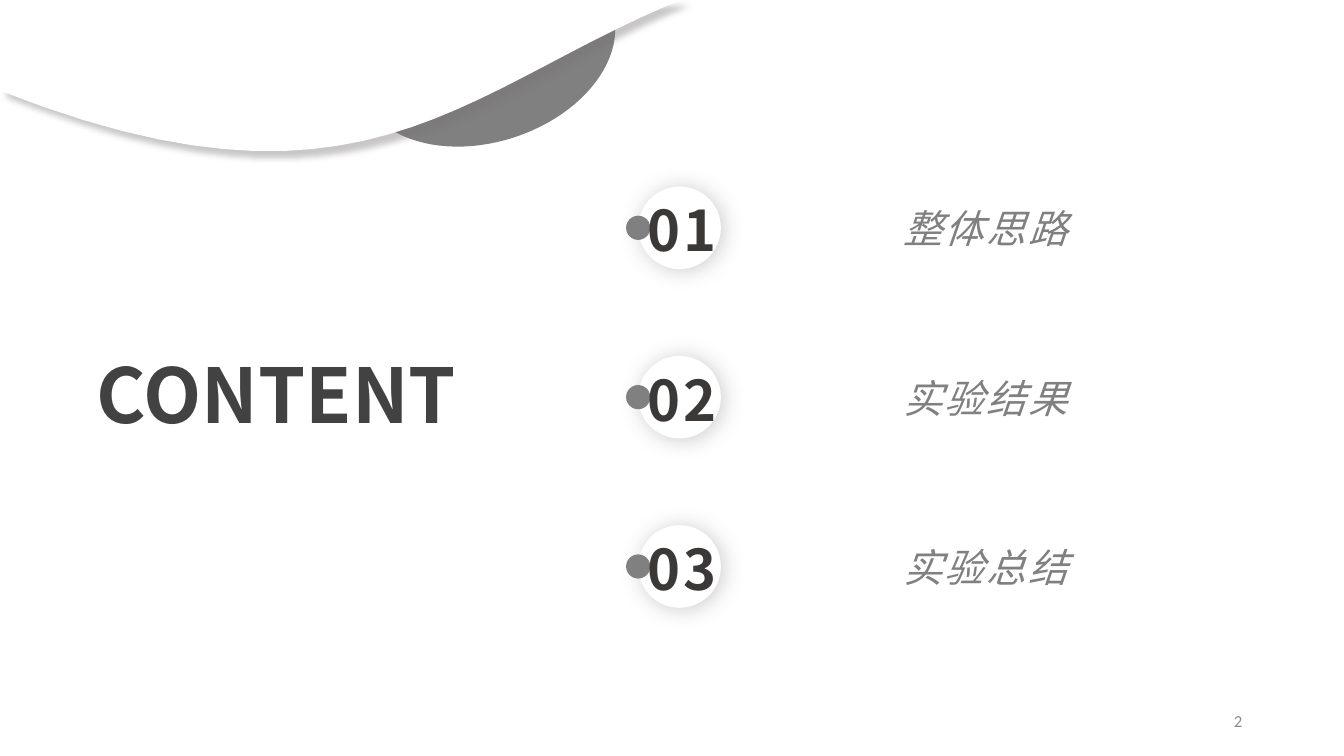
from lxml.etree import SubElement
from pptx import Presentation
from pptx.dml.color import RGBColor
from pptx.enum.shapes import MSO_SHAPE
from pptx.enum.text import MSO_ANCHOR, MSO_AUTO_SIZE, PP_ALIGN
from pptx.oxml.ns import qn
from pptx.util import Inches, Pt

WHITE = RGBColor(0xFF, 0xFF, 0xFF)
GRAY = RGBColor(0x80, 0x80, 0x80)
PALE = RGBColor(0x8C, 0x8C, 0x8C)
DARK = RGBColor(0x42, 0x42, 0x42)
INK = RGBColor(0x3B, 0x38, 0x38)
SHADE = RGBColor(0x76, 0x71, 0x71)
SANS = "Noto Sans CJK SC"
STEPS = 24


def place(shape, box):
    shape.left, shape.top, shape.width, shape.height = map(Inches, box)


def put(shape, text, size, color, font=SANS, bold=False, italic=False, gap=0,
        align=PP_ALIGN.CENTER, anchor=MSO_ANCHOR.MIDDLE, wrap=True, grow=True, inset=0):
    frame = shape.text_frame
    frame.word_wrap = wrap
    frame.auto_size = MSO_AUTO_SIZE.SHAPE_TO_FIT_TEXT if grow else MSO_AUTO_SIZE.NONE
    frame.vertical_anchor = anchor
    frame.margin_left = frame.margin_right = Inches(inset)
    frame.margin_top = frame.margin_bottom = Inches(inset / 2)
    para = frame.paragraphs[0]
    para.alignment = align
    run = para.add_run()
    run.text = text
    face = run.font
    face.name, face.size, face.bold, face.italic = font, Pt(size), bold, italic
    face.color.rgb = color
    props = run._r.get_or_add_rPr()
    SubElement(props, qn("a:ea"), typeface=font)
    if gap:
        props.set("spc", str(gap * 100))


def label(shapes, box, text, **style):
    put(shapes.add_textbox(*map(Inches, box)), text, **style)


def paint(shape, fill, shadow=None):
    shape.shadow.inherit = False
    shape.fill.solid()
    shape.fill.fore_color.rgb = fill
    shape.line.fill.background()
    if shadow:
        color, blur, dist, angle = shadow
        effect = shape._element.spPr.find(qn("a:effectLst"))
        outer = SubElement(effect, qn("a:outerShdw"), blurRad=str(Pt(blur)),
                           dist=str(Pt(dist)), dir=str(angle * 60000),
                           algn="ctr", rotWithShape="0")
        tint = SubElement(outer, qn("a:srgbClr"), val=str(color))
        SubElement(tint, qn("a:alpha"), val="40000")


def bend(start, one, two, end):
    for step in range(1, STEPS + 1):
        t = step / STEPS
        u = 1 - t
        yield tuple(u**3 * a + 3 * u * u * t * b + 3 * u * t * t * c + t**3 * d
                    for a, b, c, d in zip(start, one, two, end))


def outline(slide, box, start, parts, fill, shadow=None):
    left, top = box
    points = [start]
    for part in parts:
        points += [part[0]] if len(part) == 1 else bend(points[-1], *part)
    spots = [(Inches(left + x), Inches(top + y)) for x, y in points]
    form = slide.shapes.build_freeform(*spots[0], scale=1.0)
    form.add_line_segments(spots[1:], close=True)
    paint(form.convert_to_shape(), fill, shadow)


def banner(slide, box):
    outline(slide, box, (3.89, 0), [
        [(6.04, 0)], [(6.07, 0.08)],
        [(6.23, 0.56), (5.8, 1.13), (5.11, 1.36)],
        [(4.42, 1.59), (3.73, 1.39), (3.57, 0.91)],
        [(3.47, 0.61), (3.6, 0.27), (3.88, 0.01)]], GRAY)
    outline(slide, box, (0, 0), [
        [(6.76, 0)], [(6.61, 0.06)],
        [(4.54, 0.95), (3.52, 2.29), (0, 0.9)]], WHITE, (SHADE, 4, 6, 45))


def disc(shapes, left, top, size, fill, shadow=None):
    oval = shapes.add_shape(MSO_SHAPE.OVAL, *map(Inches, (left, top, size, size)))
    paint(oval, fill, shadow)


def badge(slide, box, text):
    left, top = box
    shapes = slide.shapes.add_group_shape().shapes
    disc(shapes, left + 0.14, top, 0.82, WHITE, (GRAY, 16, 2, 30))
    disc(shapes, left + 0.02, top + 0.29, 0.24, GRAY)
    label(shapes, (left, top + 0.09, 1.15, 0.67), text,
          size=40, color=INK, bold=True, gap=2)


def agenda(slide, box, topics, pitch=1.68):
    left, top = box
    for row, topic in enumerate(topics):
        y = top + row * pitch
        badge(slide, (left, y), f"{row + 1:02}")
        label(slide.shapes, (left + 0.44, y + 0.18, 6.29, 0.47), topic,
              size=28, color=GRAY, italic=True, gap=2)


def heading(slide, box, text):
    title = slide.shapes.title
    place(title, box)
    put(title, text, 54, DARK, bold=True, align=PP_ALIGN.LEFT,
        anchor=MSO_ANCHOR.TOP, wrap=False, inset=0.1)


def footer(slide, box, text):
    label(slide.shapes, box, text, size=12, color=PALE, font="Calibri",
          align=PP_ALIGN.RIGHT, grow=False, inset=0.1)


def main():
    deck = Presentation()
    deck.slide_width, deck.slide_height = Inches(13.33), Inches(7.5)
    slide = deck.slides.add_slide(deck.slide_layouts[5])
    banner(slide, (0, 0))
    heading(slide, (0.86, 3.4, 3.99, 1.01), "CONTENT")
    agenda(slide, (6.19, 1.85), ["整体思路", "实验结果", "实验总结"])
    footer(slide, (9.42, 6.95, 3, 0.4), "2")
    deck.save("out.pptx")


if __name__ == "__main__":
    main()
